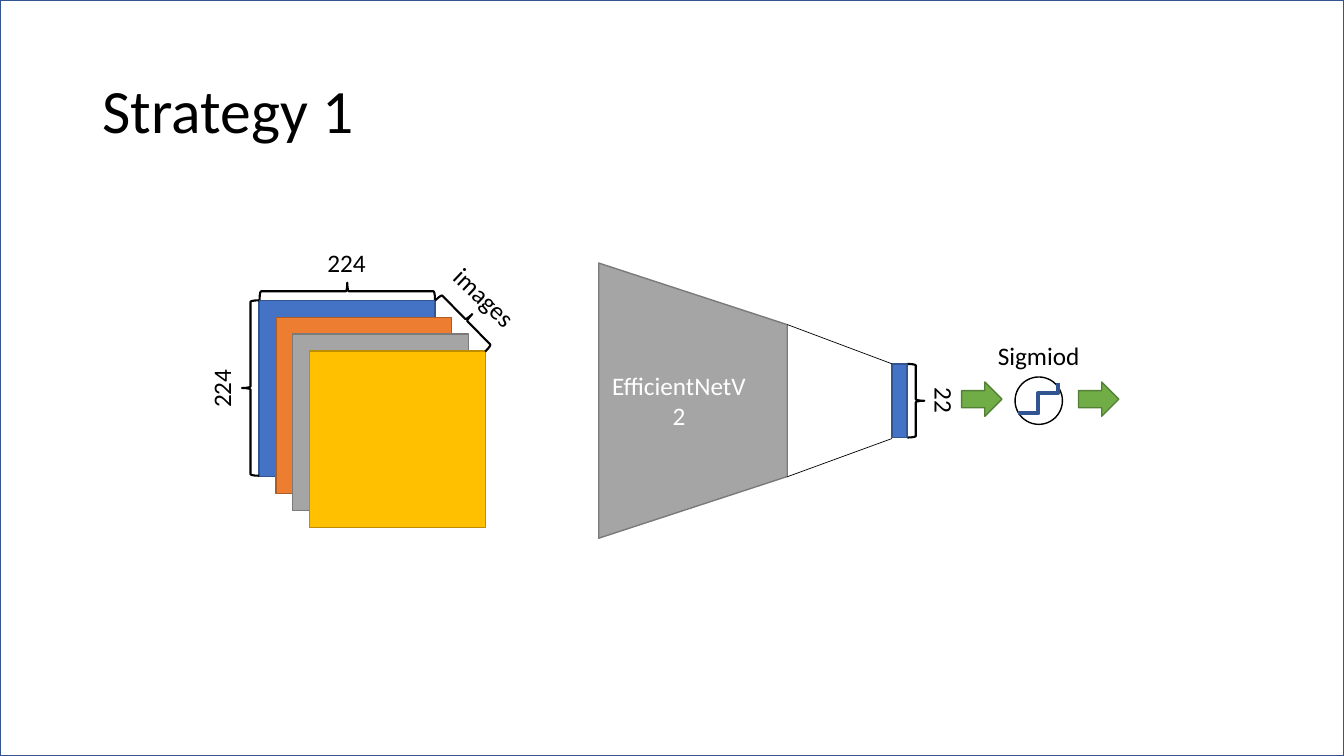
from dataclasses import dataclass
from typing import Optional

from pptx import Presentation
from pptx import util as u
from pptx.dml.color import RGBColor
from pptx.enum import shapes, text
from lxml import etree

CELL = u.Inches(0.1)
COLS, ROWS = 133.33, 75
FONT = "Calibri"

BLACK = RGBColor(0x00, 0x00, 0x00)
WHITE = RGBColor(0xFF, 0xFF, 0xFF)
BLUE = RGBColor(0x44, 0x72, 0xC4)
NAVY = RGBColor(0x32, 0x54, 0x91)
ORANGE = RGBColor(0xED, 0x7D, 0x31)
RUST = RGBColor(0xAF, 0x5C, 0x24)
GRAY = RGBColor(0xA5, 0xA5, 0xA5)
SLATE = RGBColor(0x7A, 0x7A, 0x7A)
GOLD = RGBColor(0xFF, 0xC0, 0x00)
OCHRE = RGBColor(0xBD, 0x8E, 0x00)
GREEN = RGBColor(0x70, 0xAD, 0x47)
FOREST = RGBColor(0x53, 0x80, 0x35)

KIND = shapes.MSO_SHAPE
ALIGN = text.PP_ALIGN
Point = tuple[float, float]


@dataclass
class Box:
    col: float
    row: float
    cols: float
    rows: float

    def emu(self) -> list[int]:
        return [cells(v) for v in (self.col, self.row, self.cols, self.rows)]


@dataclass
class Part:
    kind: KIND
    box: Box
    fill: Optional[RGBColor]
    line: RGBColor
    weight: float = 1
    rot: float = 0


@dataclass
class Label:
    words: str
    box: Box
    rot: float = 0
    align: ALIGN = ALIGN.LEFT


def cells(n: float) -> int:
    return round(n * CELL)


def brace(box: Box, rot: float = 0) -> Part:
    return Part(KIND.LEFT_BRACE, box, None, BLACK, 1.5, rot)


def add_run(p, words: str, size: float, color: RGBColor) -> None:
    r = p.add_run()
    r.text = words
    r.font.name = FONT
    r.font.size = u.Pt(size)
    r.font.color.rgb = color


def draw_part(s, part: Part):
    sp = s.shapes.add_shape(part.kind, *part.box.emu())
    sp.shadow.inherit = False
    sp.rotation = part.rot
    if part.fill is None:
        sp.fill.background()
    else:
        sp.fill.solid()
        sp.fill.fore_color.rgb = part.fill
    sp.line.color.rgb = part.line
    sp.line.width = u.Pt(part.weight)
    return sp


def draw_label(s, label: Label) -> None:
    sp = s.shapes.add_textbox(*label.box.emu())
    sp.rotation = label.rot
    tf = sp.text_frame
    tf.word_wrap = False
    tf.auto_size = text.MSO_AUTO_SIZE.SHAPE_TO_FIT_TEXT
    p = tf.paragraphs[0]
    p.alignment = label.align
    add_run(p, label.words, 18, BLACK)


def draw_title(s, words: str) -> None:
    tf = s.shapes.add_textbox(*Box(9.2, 4, 115, 14.5).emu()).text_frame
    tf.word_wrap = True
    tf.vertical_anchor = text.MSO_ANCHOR.MIDDLE
    p = tf.paragraphs[0]
    p.line_spacing = 0.9
    add_run(p, words, 44, BLACK)


def draw_network(s) -> None:
    box = Box(55.1, 30.4, 27.3, 18.7)
    sp = draw_part(s, Part(KIND.TRAPEZOID, box, GRAY, SLATE, rot=90))
    sp.adjustments[0] = 0.327
    tf = sp.text_frame
    tf.word_wrap = True
    tf.vertical_anchor = text.MSO_ANCHOR.MIDDLE
    sp.element.txBody.bodyPr.set("vert", "vert270")
    p = tf.paragraphs[0]
    p.alignment = ALIGN.CENTER
    add_run(p, "EfficientNetV2", 18, WHITE)


def draw_line(s, start: Point, end: Point) -> None:
    ends = [cells(v) for v in start + end]
    cx = s.shapes.add_connector(shapes.MSO_CONNECTOR.STRAIGHT, *ends)
    cx.line.color.rgb = BLACK
    cx.line.width = u.Pt(0.5)
    sp_pr = cx.element.spPr
    namespace = etree.QName(sp_pr.find("{*}prstGeom")).namespace
    etree.SubElement(sp_pr, f"{{{namespace}}}effectLst")


def bezier(knots: list[Point], steps: int = 16) -> list[Point]:
    a, b, c, d = knots
    points = []
    for i in range(1, steps + 1):
        t = i / steps
        w = ((1 - t) ** 3, 3 * t * (1 - t) ** 2, 3 * t * t * (1 - t), t ** 3)
        points.append(tuple(sum(k * v for k, v in zip(w, axis))
                            for axis in zip(a, b, c, d)))
    return points


def draw_sigmoid(s) -> None:
    start, middle, end = (101.4, 41), (103.2, 39.7), (104.9, 38.5)
    points = bezier([start, (102.6, 41), (103, 40.4), middle])
    points += bezier([middle, (103.3, 39.2), (103.8, 38.5), end])
    fb = s.shapes.build_freeform(*start, scale=CELL)
    fb.add_line_segments(points, close=False)
    sp = fb.convert_to_shape()
    sp.shadow.inherit = False
    sp.fill.background()
    sp.line.color.rgb = NAVY
    sp.line.width = u.Pt(3)


LAYER_COLORS = [(BLUE, NAVY), (ORANGE, RUST), (GRAY, SLATE), (GOLD, OCHRE)]
LAYER_STEP = 1.67

LAYERS = [
    Part(KIND.RECTANGLE,
         Box(25.7 + i * LAYER_STEP, 29.8 + i * LAYER_STEP, 17.45, 17.5), fill, line)
    for i, (fill, line) in enumerate(LAYER_COLORS)
]
BRACES = [
    brace(Box(33.6, 20.2, 1.7, 17.4), 90),
    brace(Box(24, 29.8, 1.7, 17.4)),
    brace(Box(45.4, 28.2, 1.7, 7.1), 135.5),
    brace(Box(90, 36.1, 1.7, 7.3), 180),
]
OUTPUT = [
    Part(KIND.RECTANGLE, Box(88.5, 36.1, 1.5, 7.3), BLUE, NAVY),
    Part(KIND.OVAL, Box(100.7, 37.4, 4.7, 4.7), WHITE, BLACK),
] + [Part(KIND.RIGHT_ARROW, Box(col, 37.9, 4, 3.4), GREEN, FOREST)
     for col in (95.4, 107)]
LABELS = [
    Label("224", Box(31.5, 24, 5.9, 4)),
    Label("224", Box(19, 36.5, 5.9, 4), 270),
    Label("images", Box(43.5, 27.5, 9.2, 4), 43.6),
    Label("22", Box(91.4, 37.7, 4.6, 4), 90, ALIGN.CENTER),
    Label("Sigmiod", Box(98, 33.3, 10.2, 4)),
]


def main() -> None:
    prs = Presentation()
    prs.slide_width, prs.slide_height = cells(COLS), cells(ROWS)
    s = prs.slides.add_slide(prs.slide_layouts[6])
    draw_part(s, Part(KIND.RECTANGLE, Box(0, 0, COLS, ROWS), WHITE, NAVY))
    draw_title(s, "Strategy 1")
    draw_network(s)
    for part in LAYERS + BRACES + OUTPUT:
        draw_part(s, part)
    draw_line(s, (78.1, 32.2), (88.5, 36.1))
    draw_line(s, (78.1, 47.3), (88.5, 43.5))
    draw_sigmoid(s)
    for label in LABELS:
        draw_label(s, label)
    prs.save("out.pptx")


if __name__ == "__main__":
    main()
